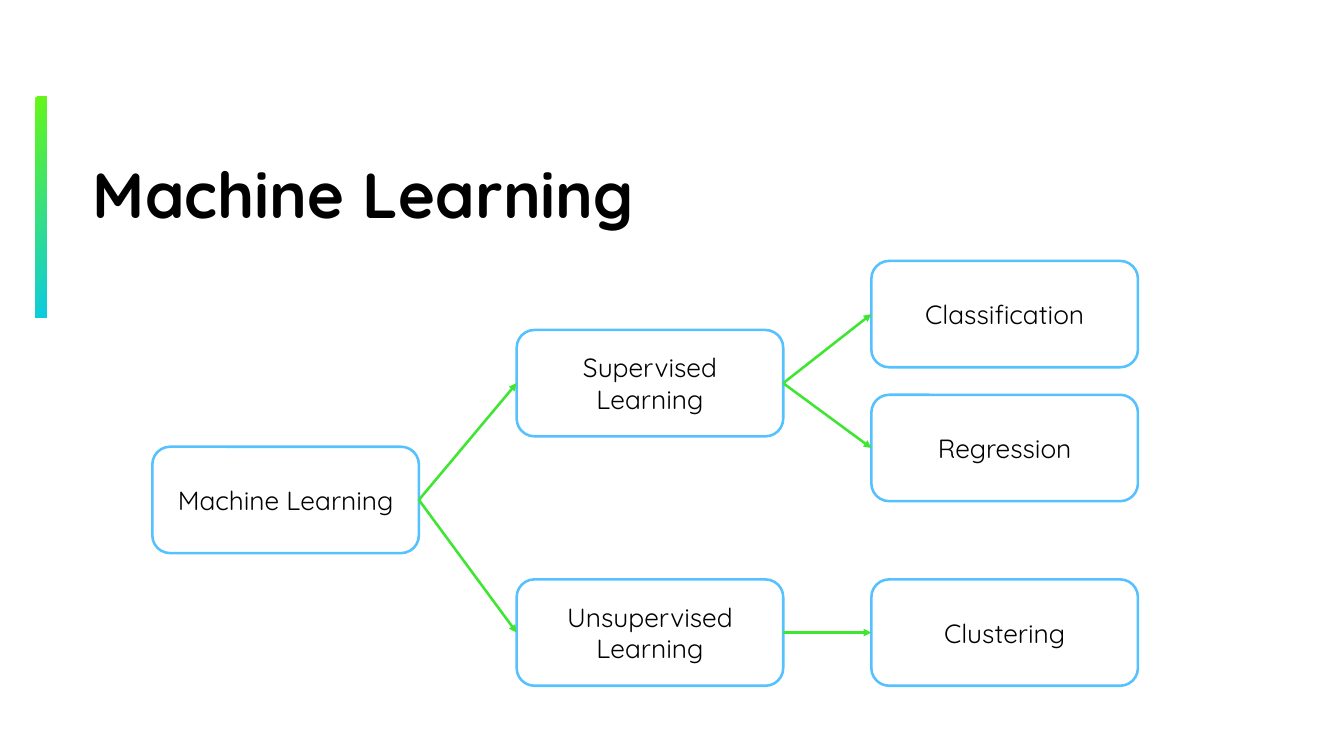
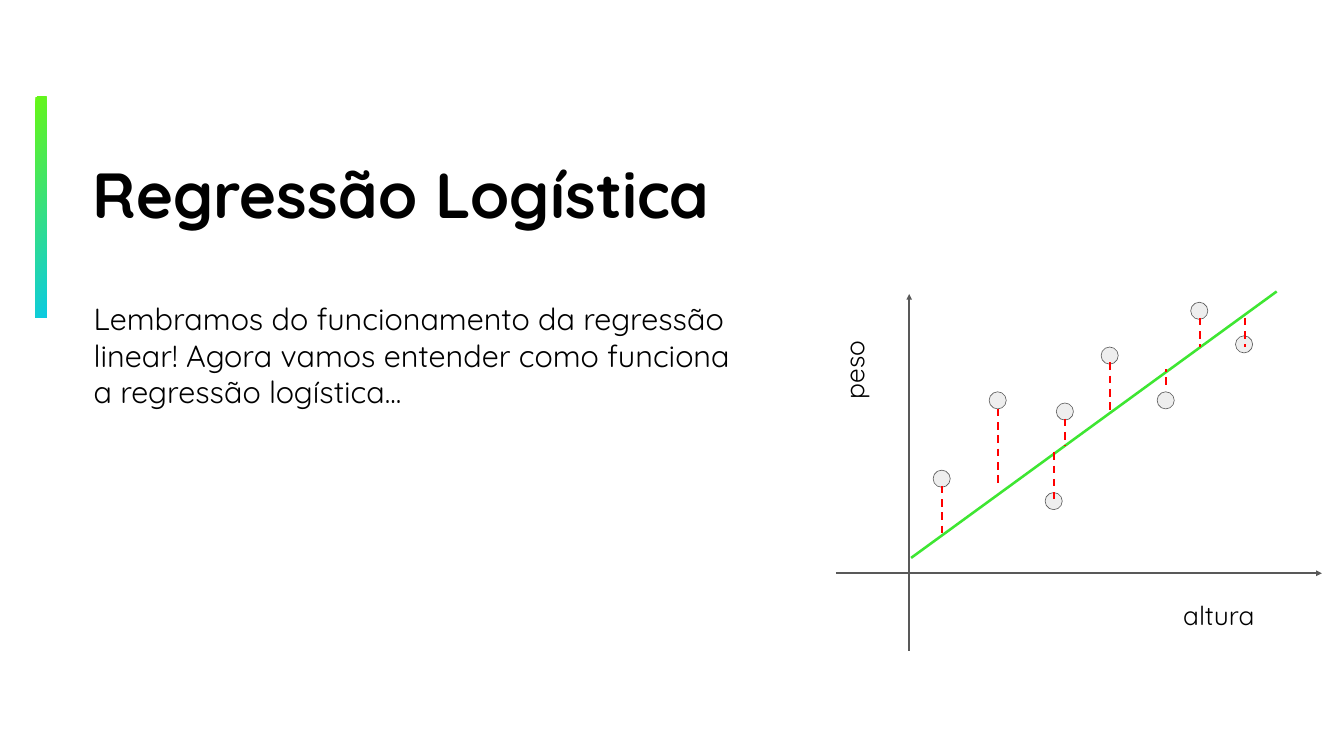
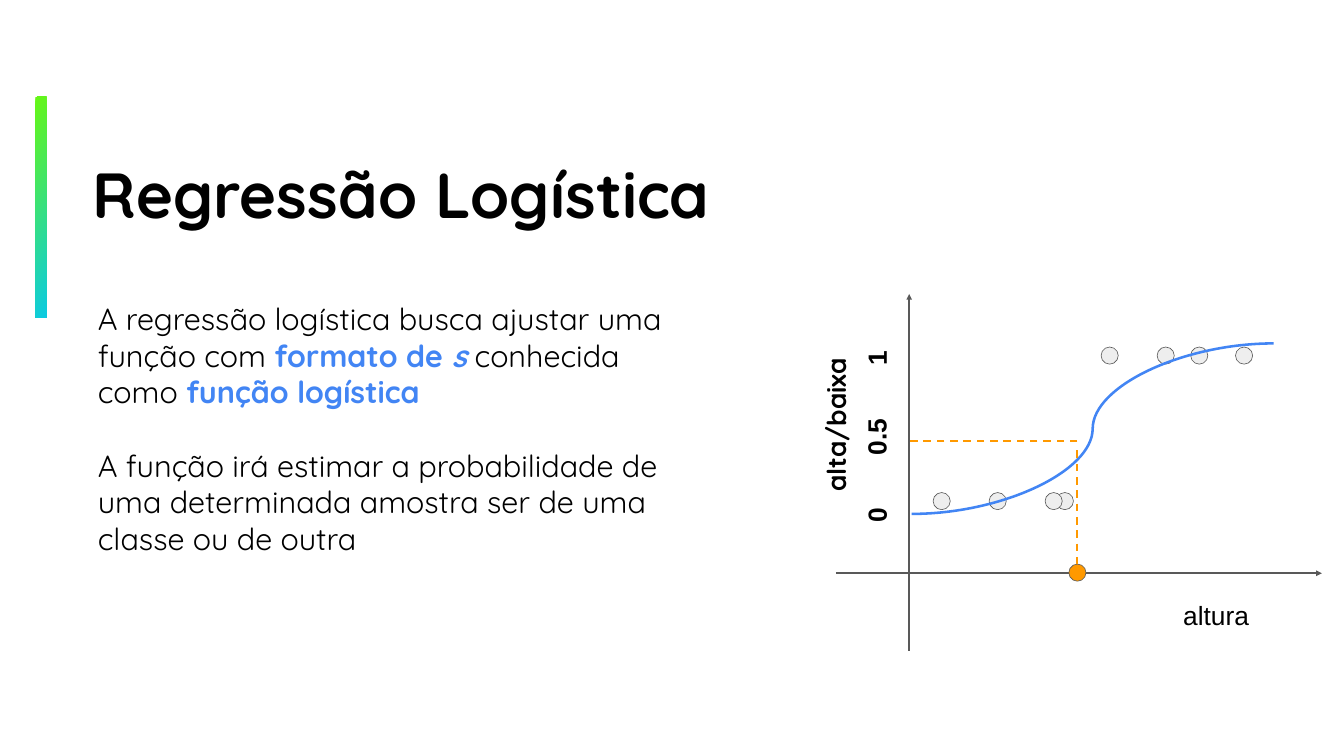
from lxml.etree import SubElement
from pptx import Presentation
from pptx.dml.color import RGBColor
from pptx.enum.dml import MSO_LINE
from pptx.enum.shapes import MSO_CONNECTOR, MSO_SHAPE
from pptx.enum.text import MSO_ANCHOR, MSO_AUTO_SIZE, PP_ALIGN
from pptx.oxml.ns import qn
from pptx.util import Inches, Pt

BLACK = RGBColor(0x00, 0x00, 0x00)
WHITE = RGBColor(0xFF, 0xFF, 0xFF)
SKY = RGBColor(0x55, 0xC1, 0xFF)
GREEN = RGBColor(0x3E, 0xE6, 0x32)
LIME = RGBColor(0x67, 0xF7, 0x14)
CYAN = RGBColor(0x0B, 0xCA, 0xE3)
GRAY = RGBColor(0x59, 0x59, 0x59)
PALE = RGBColor(0xEE, 0xEE, 0xEE)
RED = RGBColor(0xFF, 0x00, 0x00)
BLUE = RGBColor(0x42, 0x85, 0xF4)
AMBER = RGBColor(0xFF, 0x99, 0x00)

WIDE, HIGH = Inches(21.98), Inches(12.37)
COLS = 120
CELL = WIDE / COLS

SIDES = ("margin_left", "margin_top", "margin_right", "margin_bottom")
FRAME = {"word_wrap": True, "auto_size": MSO_AUTO_SIZE.NONE,
         "vertical_anchor": MSO_ANCHOR.TOP}
ROOMY = FRAME | dict.fromkeys(SIDES, Inches(0.22))
TIGHT = FRAME | dict.fromkeys(SIDES, Inches(0.05))
MIDDLE = ROOMY | {"vertical_anchor": MSO_ANCHOR.MIDDLE}

HEAD = {"name": "Quicksand", "size": Pt(75), "bold": True}
BODY = {"name": "Quicksand", "size": Pt(36)}
LABEL = {"name": "Quicksand", "size": Pt(31)}
ARIAL = LABEL | {"name": "Arial"}
BOLD = {"bold": True}

DOT = 1.53
FIRST = 84.08
AXIS = (81.18, 51.21)


def put(thing, *formats):
    for values in formats:
        for name, value in values.items():
            setattr(thing, name, value)


def cells(*counts):
    return [round(count * CELL) for count in counts]


class Deck:
    def __init__(self):
        self.file = Presentation()
        put(self.file, {"slide_width": WIDE, "slide_height": HIGH})
        self.plan = self.file.slide_layouts[5]
        self.slide = None

    def page(self, title):
        first = self.slide is None
        self.slide = self.file.slides.add_slide(self.plan)
        if first:
            self.bar()
        head = self.slide.shapes.title
        spot = cells(7.1, 13.98, 79.05, 10.26)
        put(head, dict(zip(("left", "top", "width", "height"), spot)))
        self.fill(head, [[(title, BLACK, {})]], HEAD, ROOMY,
                  {"alignment": PP_ALIGN.LEFT, "line_spacing": 0.8})

    def bar(self):
        bar = self.shape(MSO_SHAPE.RECTANGLE, (3.17, 8.63, 0.98, 19.71))
        bar.fill.gradient()
        bar.fill.gradient_angle = 326
        for stop, hue, place in zip(bar.fill.gradient_stops, (LIME, CYAN), (0, 1)):
            stop.color.rgb = hue
            stop.position = place
        bar.line.fill.background()
        self.plan.shapes.element.append(bar.element)

    def fill(self, shape, paras, font, frame, lay):
        text = shape.text_frame
        put(text, frame)
        for index, runs in enumerate(paras):
            para = text.add_paragraph() if index else text.paragraphs[0]
            put(para, lay)
            if index:
                para.space_before = Pt(43)
            for words, hue, extra in runs:
                run = para.add_run()
                run.text = words
                put(run.font, font, extra)
                run.font.color.rgb = hue

    def shape(self, kind, spot, fill=None, line=None, width=0):
        shape = self.slide.shapes.add_shape(kind, *cells(*spot))
        shape.shadow.inherit = False
        if fill is not None:
            shape.fill.solid()
            shape.fill.fore_color.rgb = fill
            shape.line.color.rgb = line
            shape.line.width = Pt(width)
        return shape

    def box(self, words, left, top):
        box = self.shape(MSO_SHAPE.ROUNDED_RECTANGLE, (left, top, 23.8, 9.5),
                         WHITE, SKY, 3)
        self.fill(box, [[(words, BLACK, {})]], LABEL, MIDDLE,
                  {"alignment": PP_ALIGN.CENTER})
        return box

    def dot(self, step, row, fill=PALE):
        self.shape(MSO_SHAPE.OVAL, (FIRST + step - DOT / 2, row, DOT, DOT),
                   fill, GRAY, 0.75)

    def text(self, paras, spot, font=BODY, frame=TIGHT, turn=0):
        area = self.slide.shapes.add_textbox(*cells(*spot))
        area.rotation = turn
        self.fill(area, paras, font, frame, {})

    def label(self, words, left, top, width, font=LABEL, turn=0):
        self.text([[(words, BLACK, {})]], (left, top, width, 5.3),
                  font, ROOMY, turn)

    def line(self, ends, hue, width=2.25, dash=False, arrow=False,
             kind=MSO_CONNECTOR.STRAIGHT):
        line = self.slide.shapes.add_connector(kind, *cells(*ends))
        line.line.color.rgb = hue
        line.line.width = Pt(width)
        if dash:
            line.line.dash_style = MSO_LINE.DASH
        part = line.element.spPr
        if arrow:
            SubElement(part.find(qn("a:ln")), qn("a:tailEnd"), type="triangle")
        SubElement(part, qn("a:effectLst"))
        return line

    def link(self, start, end):
        line = self.line((0, 0, 1, 1), GREEN, 3, arrow=True)
        line.begin_connect(start, 3)
        line.end_connect(end, 1)

    def axes(self, font):
        col, row = AXIS
        self.line((col, 58.14, col, 26.26), GRAY, arrow=True)
        self.line((74.63, row, 118.03, row), GRAY, arrow=True)
        self.label("altura", 104.44, 52.3, 10.59, font)


def tree(deck):
    deck.page("Machine Learning")
    left, mid, right = 13.6, 46.13, 77.8
    root = deck.box("Machine Learning", left, 39.91)
    branches = [
        ("Supervised Learning", 29.48,
         [("Classification", 23.31), ("Regression", 35.27)]),
        ("Unsupervised Learning", 51.76, [("Clustering", 51.76)]),
    ]
    for words, top, leaves in branches:
        branch = deck.box(words, mid, top)
        deck.link(root, branch)
        for leaf, row in leaves:
            deck.link(branch, deck.box(leaf, right, row))


def linear(deck):
    deck.page("Regressão Logística")
    deck.text([[("Lembramos do funcionamento da regressão linear! Agora vamos "
                 "entender como funciona a regressão logística...", BLACK, {})]],
              (8.08, 26.53, 58.47, 17.31))
    deck.axes(LABEL)
    deck.label("peso", 70.97, 28.93, 10.59, turn=270)
    deck.line((81.35, 49.84, 113.99, 26.04), GREEN, 3)
    points = [
        (0, 42, 43.4, 47.61), (5, 35, 36.52, 43.51),
        (10, 44, 40.4, 44.55), (11, 36, 37.4, 39.85),
        (15, 31, 32.37, 36.63), (20, 35, 34.39, 32.97),
        (23, 27, 28.39, 30.96), (27, 30, 28.39, 30.96),
    ]
    for step, row, start, end in points:
        col = FIRST + step + 0.05
        deck.dot(step, row)
        deck.line((col, start, col, end), RED, dash=True)


def logistic(deck):
    deck.page("Regressão Logística")
    deck.text([
        [("A regressão logística busca ajustar uma função com ", BLACK, {}),
         ("formato de ", BLUE, BOLD),
         ("s", BLUE, BOLD | {"italic": True}),
         (" conhecida como ", BLACK, {}),
         ("função logística", BLUE, BOLD)],
        [("A função irá estimar a probabilidade de uma determinada amostra "
          "ser de uma classe ou de outra", BLACK, {})],
    ], (8.46, 26.53, 53.39, 17.31))
    deck.axes(ARIAL)
    for row, steps in ((44, (0, 5, 11, 10)), (31, (15, 20, 23, 27))):
        for step in steps:
            deck.dot(step, row)
    deck.line((81.4, 45.91, 113.72, 30.68), BLUE, 3, kind=MSO_CONNECTOR.CURVE)
    for words, left, top, width in (("0", 76.27, 43.18, 4.04),
                                    ("1", 76.27, 29.21, 4.04),
                                    ("0.5", 74.69, 35.65, 7.15)):
        deck.label(words, left, top, width, ARIAL | BOLD, 270)
    deck.label("alta/baixa", 66.28, 34.12, 16.71, LABEL | BOLD, 270)
    cut = 12.12
    col = FIRST + cut
    deck.dot(cut, 50.39, AMBER)
    deck.line((col, 40.24, col, AXIS[1]), AMBER, dash=True)
    deck.line((col, 39.36, 80.91, 39.36), AMBER, dash=True)


def main():
    deck = Deck()
    for draw in (tree, linear, logistic):
        draw(deck)
    deck.file.save("out.pptx")


if __name__ == "__main__":
    main()
